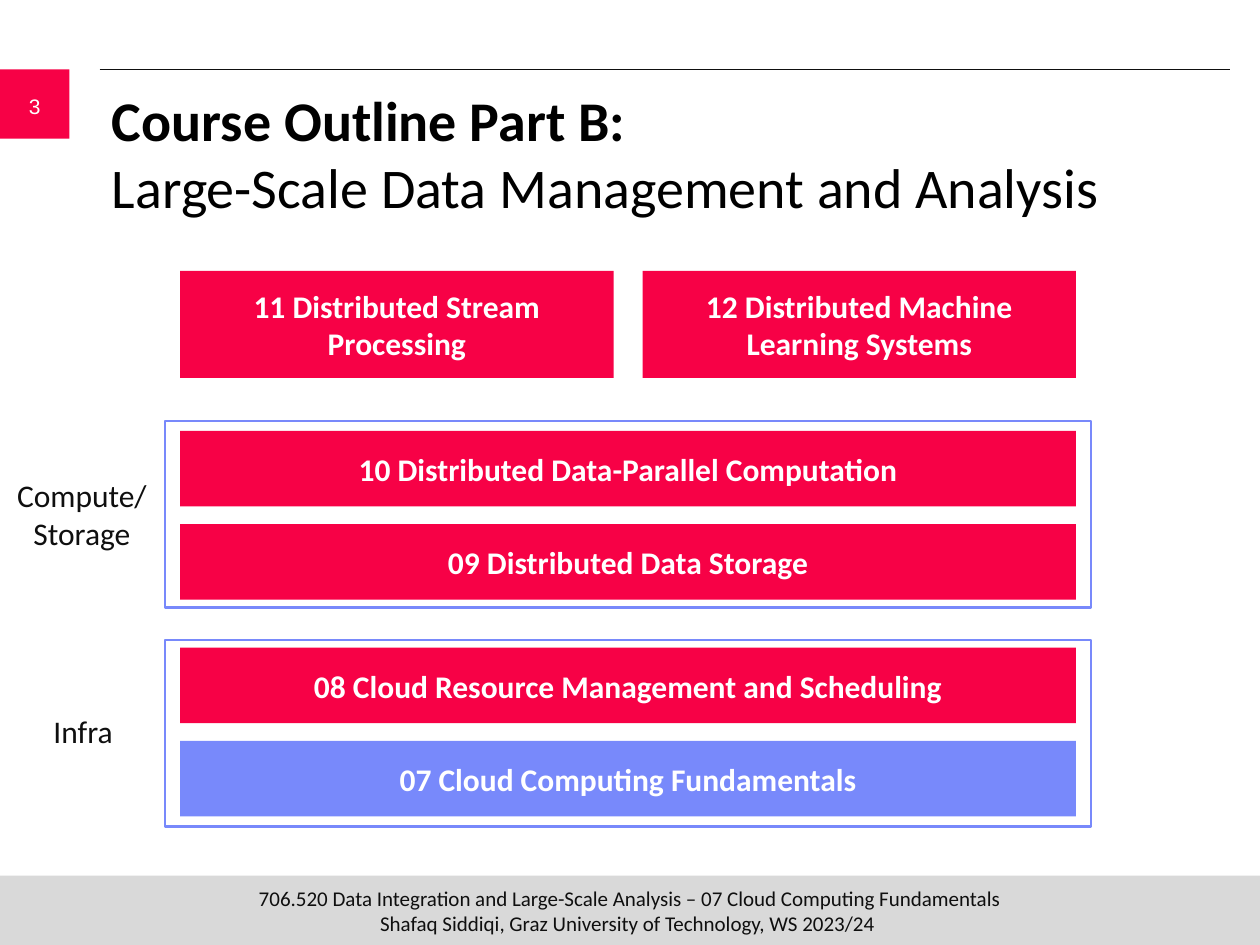
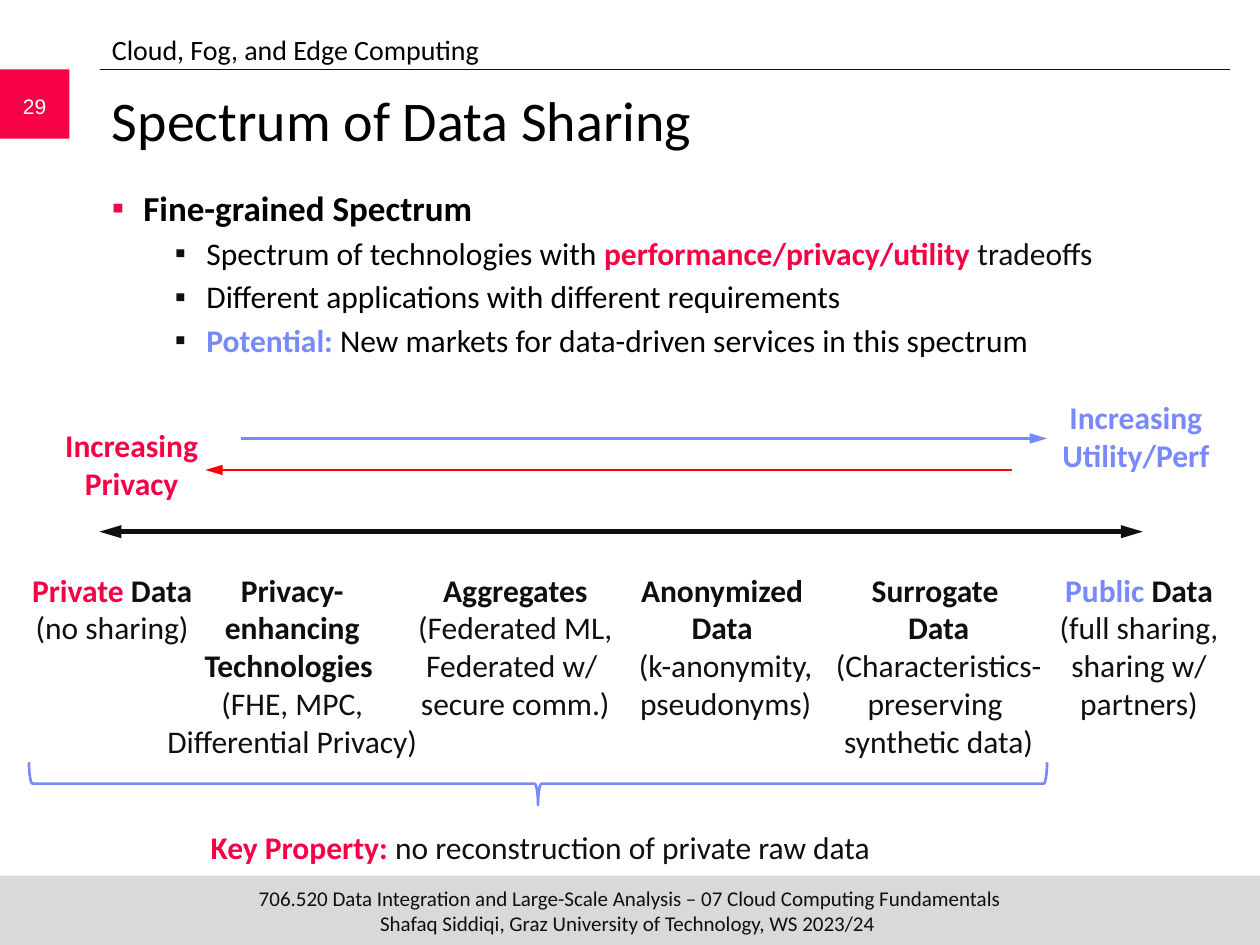
from lxml import etree
from pptx import Presentation
from pptx.dml.color import RGBColor
from pptx.enum.shapes import MSO_CONNECTOR as Connector, MSO_SHAPE as Shape
from pptx.enum.text import MSO_ANCHOR as Anchor, PP_ALIGN as Align
from pptx.oxml.ns import qn
from pptx.util import Inches, Pt

COLORS = {"red": "F70146", "blue": "7889FB", "ink": "0F0F0F", "black": "000000",
          "white": "FFFFFF", "band": "D9D9D9", "arrow_red": "FF0000"}
FONT = "Calibri"
MARGIN = 0.79
FOOTER = ("706.520 Data Integration and Large-Scale Analysis – 07 Cloud Computing Fundamentals\n"
          "Shafaq Siddiqi, Graz University of Technology, WS 2023/24 ")
PLAIN_INSETS = {"margin_left": 0, "margin_right": 0}
NO_INSETS = {**PLAIN_INSETS, "margin_top": 0, "margin_bottom": 0}


def rgb(name):
    return RGBColor.from_string(COLORS[name])


def set_all(target, values):
    for key, value in values.items():
        setattr(target, key, value)


# ---- Text: a run is (text, colour, bold) ----
def write_runs(paragraph, runs, size, font=FONT):
    for text, color, bold in runs:
        for index, line in enumerate(text.split("\n")):
            if index:
                paragraph.add_line_break()
            if line:
                run = paragraph.add_run()
                run.text = line
                set_all(run.font, {"size": Pt(size), "name": font, "bold": bold})
                run.font.color.rgb = rgb(color)


def fill_frame(frame, runs, size, align=Align.CENTER, font=FONT, **layout):
    set_all(frame, {"word_wrap": True, **layout})
    frame.paragraphs[0].alignment = align
    write_runs(frame.paragraphs[0], runs, size, font)


def add_text(slide, box, runs, size=18, **options):
    area = slide.shapes.add_textbox(*map(Inches, box))
    fill_frame(area.text_frame, runs, size, **options)


def add_label(slide, box, runs):
    add_text(slide, box, runs, **PLAIN_INSETS)


# ---- Shapes and lines ----
def add_block(slide, box, fill=None, line=None, kind=Shape.RECTANGLE):
    block = slide.shapes.add_shape(kind, *map(Inches, box))
    block.shadow.inherit = False
    if fill:
        block.fill.solid()
        block.fill.fore_color.rgb = rgb(fill)
    else:
        block.fill.background()
    if line:
        block.line.color.rgb = rgb(line)
        block.line.width = Pt(1.5)
    else:
        block.line.fill.background()
    return block


def add_line(slide, start, end, color, width, heads=()):
    line = slide.shapes.add_connector(Connector.STRAIGHT, *map(Inches, start + end))
    line.line.color.rgb = rgb(color)
    line.line.width = Pt(width)
    outline = line.line._get_or_add_ln()
    for head in heads:
        etree.SubElement(outline, qn(f"a:{head}"), type="triangle", w="med", len="lg")
    etree.SubElement(line._element.spPr, qn("a:effectLst"))


# ---- Parts shared by all slides ----
def new_slide(deck, number, title):
    slide = deck.slides.add_slide(deck.slide_layouts[6])
    footer = (0, 6.95, 10, 0.55)
    add_block(slide, footer, "band")
    add_line(slide, (MARGIN, 0.55), (9.76, 0.55), "ink", 0.5)
    add_block(slide, (0, 0.55, 0.55, 0.55), "red")
    add_text(slide, (0, 0.64, 0.55, 0.4), [(number, "white", False)], 12,
             font="Arial", vertical_anchor=Anchor.MIDDLE)
    add_text(slide, footer, [(FOOTER, "ink", False)], 12,
             vertical_anchor=Anchor.MIDDLE, **NO_INSETS)
    add_text(slide, (MARGIN, 0.63, 8.96, 0.83), title, 32, align=Align.LEFT)
    return slide


# ---- Course outline ----
def lecture(slide, box, text, fill="red"):
    bar = add_block(slide, box, fill)
    fill_frame(bar.text_frame, [(text, "white", True)], 18, vertical_anchor=Anchor.MIDDLE)


def applications(slide, box, topics, gap=0.23):
    left, top, width, height = box
    part = (width - gap * (len(topics) - 1)) / len(topics)
    for index, topic in enumerate(topics):
        lecture(slide, (left + index * (part + gap), top, part, height), topic)


def layer(slide, box, lectures, pad_top, name, name_box):
    left, top, width, _ = box
    for index, (text, fill) in enumerate(lectures):
        lecture(slide, (left + 0.12, top + pad_top + 0.74 * index, width - 0.24, 0.6),
                text, fill)
    add_block(slide, box, line="blue")
    add_label(slide, name_box, [(name, "ink", False)])


def outline_slide(deck):
    slide = new_slide(deck, "3", [("Course Outline Part B:\n", "black", True),
                                  ("Large-Scale Data Management and Analysis", "black", False)])
    applications(slide, (1.43, 2.15, 7.11, 0.85),
                 ["11 Distributed Stream\nProcessing", "12 Distributed Machine\nLearning Systems"])
    layer(slide, (1.31, 3.34, 7.35, 1.48),
          [("10 Distributed Data-Parallel Computation", "red"),
           ("09 Distributed Data Storage", "red")],
          0.08, "Compute/\nStorage", (0.08, 3.73, 1.14, 0.71))
    layer(slide, (1.31, 5.08, 7.35, 1.48),
          [("08 Cloud Resource Management and Scheduling", "red"),
           ("07 Cloud Computing Fundamentals", "blue")],
          0.06, "Infra", (0.03, 5.6, 1.26, 0.4))


# ---- Spectrum of data sharing ----
def add_bullet(paragraph, indent, color):
    props = paragraph._p.get_or_add_pPr()
    props.set("marL", str(Inches(indent)))
    props.set("indent", str(Inches(-0.25)))
    bullet_color = etree.SubElement(props, qn("a:buClr"))
    etree.SubElement(bullet_color, qn("a:srgbClr"), val=COLORS[color])
    etree.SubElement(props, qn("a:buFont"), typeface="Arial")
    etree.SubElement(props, qn("a:buChar"), char="▪")


def bullet_list(slide, box, heading, points):
    frame = slide.shapes.add_textbox(*map(Inches, box)).text_frame
    frame.word_wrap = True
    add_bullet(frame.paragraphs[0], 0.25, "red")
    write_runs(frame.paragraphs[0], [(heading, "black", True)], 20)
    for runs in points:
        point = frame.add_paragraph()
        add_bullet(point, 0.75, "ink")
        point.space_before = Pt(3.2)
        write_runs(point, runs, 18)


def trade_off(slide, box):
    left, top, width, _ = box
    right = left + width
    add_line(slide, (left, top + 1.11), (9.07, top + 1.11), "ink", 2.5,
             ("headEnd", "tailEnd"))
    add_line(slide, (left + 1.12, top + 0.37), (left + 7.52, top + 0.37), "blue", 1.5,
             ("tailEnd",))
    add_line(slide, (left + 7.24, top + 0.62), (left + 0.84, top + 0.62), "arrow_red", 1.5,
             ("tailEnd",))
    add_label(slide, (left - 0.34, top + 0.22, 1.19, 0.71),
              [("Increasing\nPrivacy", "red", True)])
    add_label(slide, (right - 1.19, top, 1.19, 0.71),
              [("Increasing\nUtility/Perf", "blue", True)])


def sharing_levels(slide, top, levels):
    for left, width, runs in levels:
        add_label(slide, (left, top, width, 1.62), runs)


def key_property(slide, box):
    left, top, width, depth = box
    # The brace is drawn upright and turned around its centre
    brace = add_block(slide, (left + (width - depth) / 2, top - (width - depth) / 2,
                              depth, width), line="blue", kind=Shape.RIGHT_BRACE)
    brace.rotation = 90
    add_label(slide, (left + 0.63, top + 0.47, 6.86, 0.4),
              [("Key Property: ", "red", True),
               ("no reconstruction of private raw data", "ink", False)])


def spectrum_slide(deck):
    slide = new_slide(deck, "29", [("Spectrum of Data Sharing", "black", False)])
    add_text(slide, (MARGIN, 0.21, 9, 0.36),
             [("Cloud, Fog, and Edge Computing", "black", False)], 16, align=Align.LEFT)
    bullet_list(slide, (MARGIN, 1.43, 8.96, 1.6), "Fine-grained Spectrum", [
        [("Spectrum of technologies with ", "black", False),
         ("performance/privacy/utility", "red", True), (" tradeoffs", "ink", False)],
        [("Different applications with different requirements", "black", False)],
        [("Potential: ", "blue", True),
         ("New markets for data-driven services in this spectrum", "black", False)]])
    trade_off(slide, (MARGIN, 3.11, 8.82, 1.11))
    sharing_levels(slide, 4.48, [
        (0.23, 1.32, [("Private", "red", True), (" Data\n", "ink", True),
                      ("(no sharing)", "ink", False)]),
        (1.27, 2.1, [("Privacy-\nenhancing\nTechnologies \n", "ink", True),
                     ("(FHE, MPC,\nDifferential Privacy)", "ink", False)]),
        (3.04, 2.1, [("Aggregates\n", "ink", True),
                     ("(Federated ML,\nFederated w/ \nsecure comm.)", "ink", False)]),
        (4.71, 2.1, [("Anonymized \nData \n", "ink", True),
                     ("(k-anonymity,\npseudonyms)", "ink", False)]),
        (6.4, 2.1, [("Surrogate \nData\n", "ink", True),
                    ("(Characteristics-\npreserving \nsynthetic data)", "ink", False)]),
        (8.38, 1.32, [("Public", "blue", True), (" Data\n", "ink", True),
                      ("(full sharing,\nsharing w/\npartners)", "ink", False)])])
    key_property(slide, (0.23, 6.05, 8.08, 0.34))


def main():
    deck = Presentation()
    set_all(deck, {"slide_width": Inches(10), "slide_height": Inches(7.5)})
    outline_slide(deck)
    spectrum_slide(deck)
    deck.save("out.pptx")


if __name__ == "__main__":
    main()
